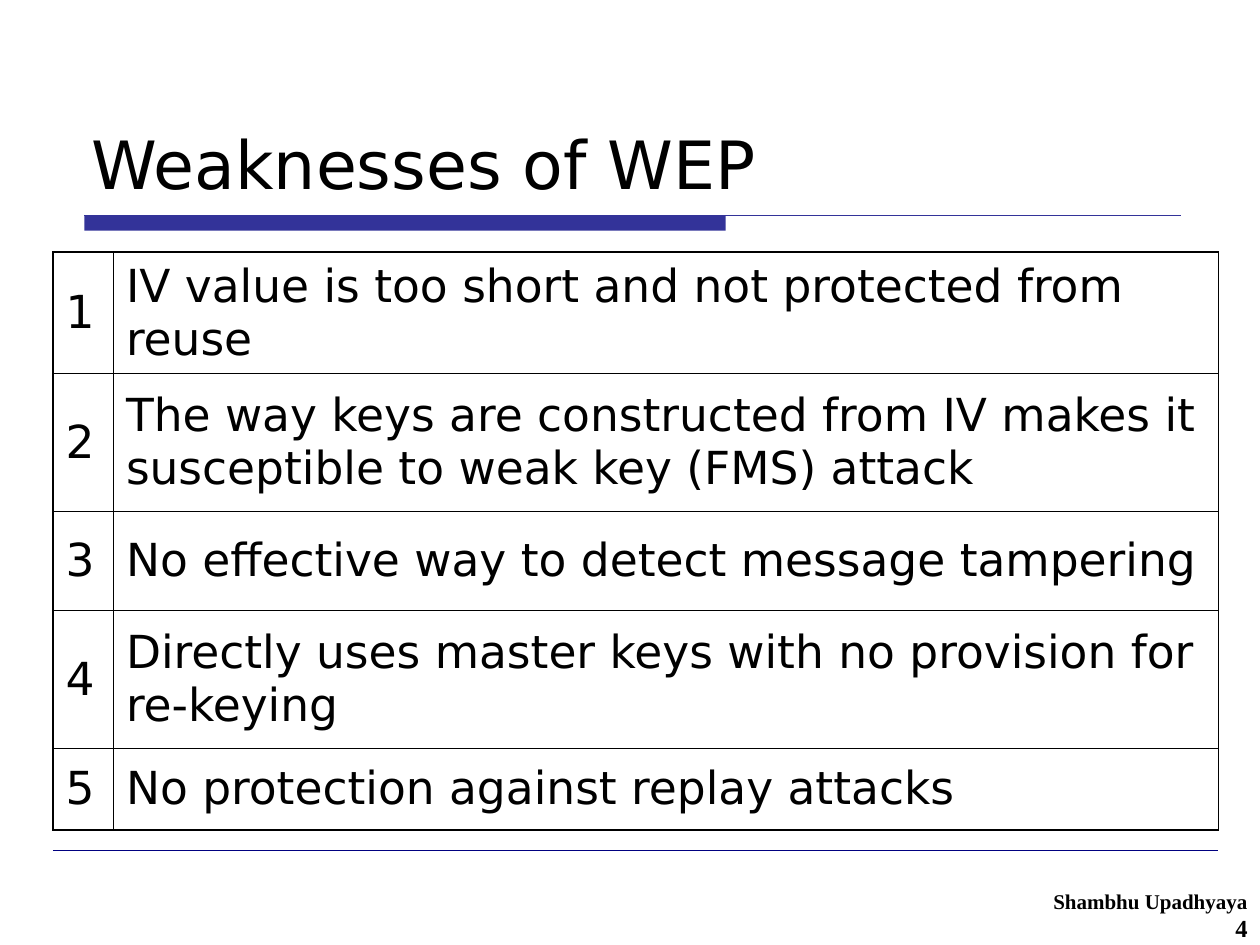
from lxml.etree import SubElement
from pptx import Presentation
from pptx.dml.color import RGBColor
from pptx.enum.shapes import MSO_CONNECTOR, MSO_SHAPE
from pptx.enum.text import MSO_ANCHOR, PP_ALIGN
from pptx.oxml.ns import qn
from pptx.util import Inches, Pt

HUES = {"ink": "000000", "bar": "333399", "foot": "000080"}
SANS, SERIF = "DejaVu Sans", "Times New Roman"

deck = Presentation()
deck.slide_width, deck.slide_height = Inches(10), Inches(7.5)
slide = deck.slides.add_slide(deck.slide_layouts[6])
shapes = slide.shapes


def place(left, top, width, height):
    """Turn percentages of the slide into lengths."""
    wide, high = deck.slide_width / 100, deck.slide_height / 100
    return [int(n) for n in (left * wide, top * high, width * wide, height * high)]


def style(par, size, face, bold=False):
    for run in par.runs:
        run.font.size, run.font.name, run.font.bold = Pt(size), face, bold
        run.font.color.rgb = RGBColor.from_string(HUES["ink"])


# Thick bar under the title
bar = shapes.add_shape(MSO_SHAPE.RECTANGLE, *place(6.7, 22.8, 50.9, 1.6))
bar.shadow.inherit = False
bar.fill.solid()
bar.fill.fore_color.rgb = RGBColor.from_string(HUES["bar"])
bar.line.fill.background()

# Thin rules: title and footer
for left, top, width, hue, weight in [
    (6.7, 22.8, 87, "bar", 0.75),
    (4.2, 90, 92.5, "foot", 0.25),
]:
    x, y, span, _ = place(left, top, width, 0)
    rule = shapes.add_connector(MSO_CONNECTOR.STRAIGHT, x, y, x + span, y)
    rule.line.color.rgb = RGBColor.from_string(HUES[hue])
    rule.line.width = Pt(weight)
    SubElement(rule._element.spPr, qn("a:effectLst"))

# Title
title = shapes.add_textbox(*place(6.3, 4.4, 87.5, 17.73)).text_frame
title.word_wrap = True
title.vertical_anchor = MSO_ANCHOR.BOTTOM
title.text = "Weaknesses of WEP"
style(title.paragraphs[0], 38, SANS)

# Author and page number
foot = shapes.add_textbox(*place(77.5, 93.33, 22.5, 6.67)).text_frame
foot.word_wrap = True
foot.text = "Shambhu Upadhyaya\n4"
for par, size in zip(foot.paragraphs, (12, 14)):
    par.alignment = PP_ALIGN.RIGHT
    style(par, size, SERIF, True)

# Table of weaknesses: text and row height in inches
rows = [
    ("IV value is too short and not protected from reuse", 0.88),
    ("The way keys are constructed from IV makes it susceptible to weak key (FMS) attack", 1.09),
    ("No effective way to detect message tampering", 0.79),
    ("Directly uses master keys with no provision for re-keying", 1.09),
    ("No protection against replay attacks", 0.65),
]
last = len(rows) - 1
frame = shapes.add_table(len(rows), 2, *place(4.2, 26.67, 92.5, 60))
table = frame.table
table.first_row = table.horz_banding = False
for col, width in zip(table.columns, (0.48, 8.77)):
    col.width = Inches(width)

for r, (text, height) in enumerate(rows):
    table.rows[r].height = Inches(height)
    for c, words in enumerate((str(r + 1), text)):
        cell = table.cell(r, c)
        cell.text = words
        cell.vertical_anchor = MSO_ANCHOR.MIDDLE
        par = cell.text_frame.paragraphs[0]
        par.space_before = Pt(6.5)
        style(par, 26, SANS)
        # Outer borders are heavier than inner ones
        outer = {"L": c == 0, "R": c == 1, "T": r == 0, "B": r == last}
        props = cell._tc.get_or_add_tcPr()
        for side, heavy in outer.items():
            edge = SubElement(props, qn(f"a:ln{side}"), w=str(Pt(1.08 if heavy else 0.45)))
            paint = SubElement(edge, qn("a:solidFill"))
            SubElement(paint, qn("a:srgbClr"), val=HUES["ink"])
        cell.fill.background()

deck.save("out.pptx")
